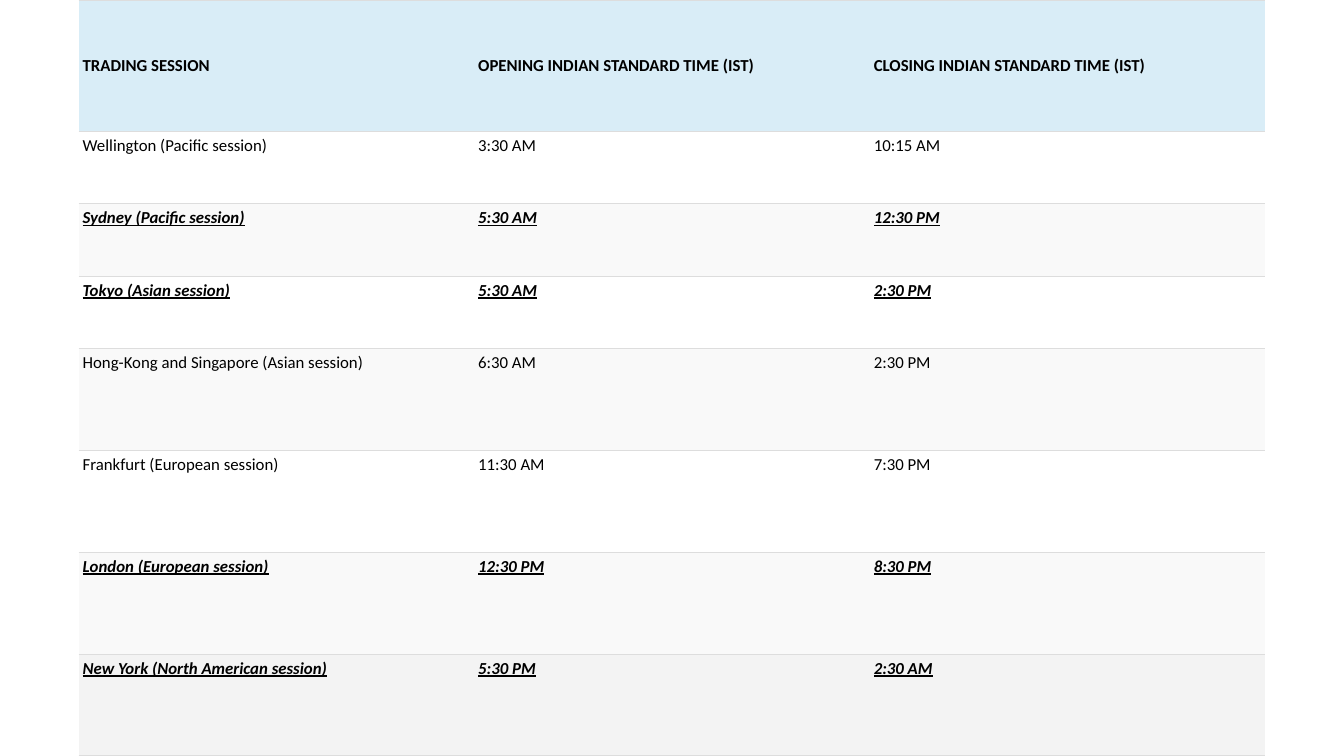
from dataclasses import dataclass

from lxml import etree
from pptx import Presentation
from pptx import util as u
from pptx.dml.color import RGBColor
from pptx.enum import text
from pptx.oxml import ns


@dataclass(frozen=True)
class Theme:
    font: str = "Calibri"
    size: float = 12
    ink: str = "000000"
    header: str = "D9EDF7"
    stripes: tuple = ("FFFFFF", "F9F9F9")
    last: str = "F3F3F3"
    rule: str = "DDDDDD"
    rule_width: float = 0.6
    inset: float = 0.04


THEME = Theme()
SLIDE_W, SLIDE_H = 13.33, 7.5
HEADER_H, SHORT_H, TALL_H = 1.3, 0.72, 1.01

HEADINGS = (
    "TRADING SESSION",
    "OPENING INDIAN STANDARD TIME (IST)",
    "CLOSING INDIAN STANDARD TIME (IST)",
)
# Session, opening, closing, major session, row height
SESSIONS = (
    ("Wellington (Pacific session)", "3:30 AM", "10:15 AM", False, SHORT_H),
    ("Sydney (Pacific session)", "5:30 AM", "12:30 PM", True, SHORT_H),
    ("Tokyo (Asian session)", "5:30 AM", "2:30 PM", True, SHORT_H),
    ("Hong-Kong and Singapore (Asian session)", "6:30 AM", "2:30 PM", False, TALL_H),
    ("Frankfurt (European session)", "11:30 AM", "7:30 PM", False, TALL_H),
    ("London (European session)", "12:30 PM", "8:30 PM", True, TALL_H),
    ("New York (North American session)", "5:30 PM", "2:30 AM", True, TALL_H),
)


def rule_cell(cell):
    """Draw rules above and below the cell, none at its sides."""
    props = cell._tc.get_or_add_tcPr()
    for place, side in enumerate(("lnL", "lnR", "lnT", "lnB")):
        line = etree.Element(ns.qn(f"a:{side}"))
        if side in ("lnT", "lnB"):
            line.set("w", str(int(u.Pt(THEME.rule_width))))
            fill = etree.SubElement(line, ns.qn("a:solidFill"))
            etree.SubElement(fill, ns.qn("a:srgbClr"), val=THEME.rule)
        else:
            etree.SubElement(line, ns.qn("a:noFill"))
        props.insert(place, line)


def fill_row(cells, words, colour, anchor, bold=False, accent=False):
    for cell, word in zip(cells, words):
        cell.margin_left = cell.margin_right = u.Inches(THEME.inset)
        cell.margin_top = cell.margin_bottom = u.Inches(THEME.inset)
        cell.vertical_anchor = anchor
        cell.fill.solid()
        cell.fill.fore_color.rgb = RGBColor.from_string(colour)
        rule_cell(cell)
        run = cell.text_frame.paragraphs[0].add_run()
        run.text = word
        font = run.font
        font.name, font.size = THEME.font, u.Pt(THEME.size)
        font.color.rgb = RGBColor.from_string(THEME.ink)
        font.bold, font.italic, font.underline = bold or accent, accent, accent


def add_timetable(slide, left, top, width, height):
    timetable = slide.shapes.add_table(
        len(SESSIONS) + 1, len(HEADINGS),
        u.Inches(left), u.Inches(top), u.Inches(width), u.Inches(height),
    ).table
    timetable.horz_banding = False
    timetable.first_row = False

    # Row heights as shares of the box
    row_heights = [HEADER_H] + [session[-1] for session in SESSIONS]
    for row, row_height in zip(timetable.rows, row_heights):
        row.height = u.Inches(height * row_height / sum(row_heights))

    # Header
    fill_row(timetable.rows[0].cells, HEADINGS, THEME.header,
             text.MSO_ANCHOR.MIDDLE, bold=True)

    # Sessions, striped, with a darker last row
    for index, (*words, major, _) in enumerate(SESSIONS):
        is_last = index == len(SESSIONS) - 1
        colour = THEME.last if is_last else THEME.stripes[index % 2]
        fill_row(timetable.rows[index + 1].cells, words, colour,
                 text.MSO_ANCHOR.TOP, accent=major)


def main():
    deck = Presentation()
    deck.slide_width, deck.slide_height = u.Inches(SLIDE_W), u.Inches(SLIDE_H)
    slide = deck.slides.add_slide(deck.slide_layouts[6])
    margin = 0.78
    add_timetable(slide, margin, 0, SLIDE_W - 2 * margin, SLIDE_H)
    deck.save("out.pptx")


if __name__ == "__main__":
    main()
